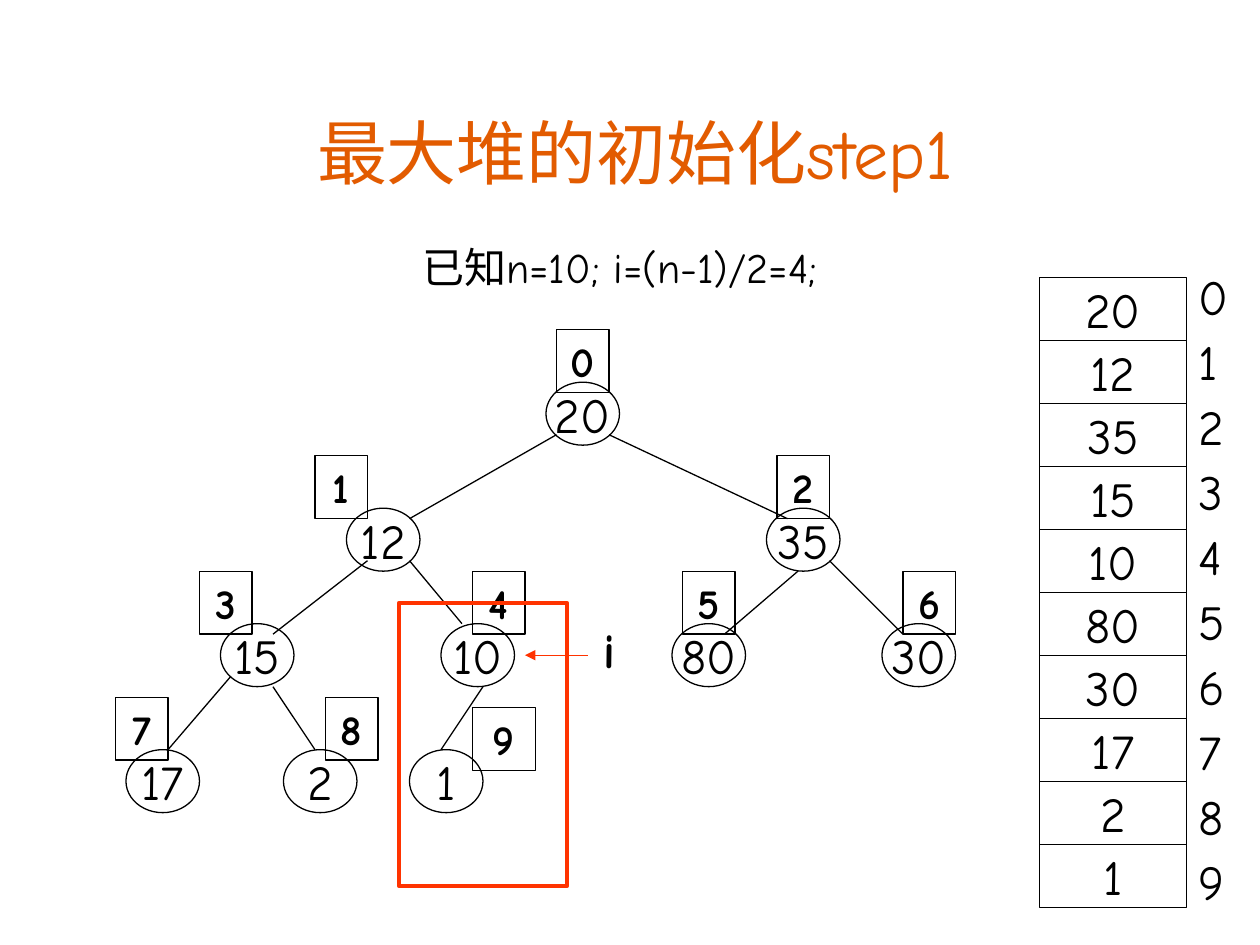
from lxml.etree import SubElement
from pptx import Presentation
from pptx.dml.color import RGBColor
from pptx.enum.shapes import MSO_CONNECTOR, MSO_SHAPE
from pptx.enum.text import MSO_ANCHOR, MSO_AUTO_SIZE, PP_ALIGN
from pptx.oxml.ns import qn
from pptx.util import Inches, Pt

UNIT = Inches(1) // 12
SHIFT = 0.4
LATIN = "Comic Neue"
HAN = "Noto Sans CJK SC"
BLACK = "000000"
RED = "FF3300"
ORANGE = "E25B00"

HEAP = [20, 12, 35, 15, 10, 80, 30, 17, 2, 1]
TIERS = [36, 48, 59, 71]
NODES = [52, 33, 73, 21, 42, 64, 84, 12, 27, 39]
TAGS = [53, 30, 74, 19, 45, 65, 86, 11, 31, 45]
EDGES = [
    (53, 41, 39, 49), (35, 53, 26, 60), (22, 64, 16, 71),
    (39, 53, 44, 59), (26, 65, 30, 71), (46, 65, 42, 71),
    (58, 41, 75, 49), (76, 54, 69, 60), (79, 53, 86, 60),
]


def tint(code):
    return RGBColor.from_string(code)


def place(col, row):
    return int(col * UNIT), int((row + SHIFT) * UNIT)


def area(col, row, wide, high):
    return (*place(col, row), int(wide * UNIT), int(high * UNIT))


def add_run(para, text, size, color=BLACK, face=LATIN, bold=False):
    run = para.add_run()
    run.text = text
    font = run.font
    font.size, font.bold, font.name = Pt(size), bold, face
    font.color.rgb = tint(color)
    SubElement(run._r.get_or_add_rPr(), qn("a:ea"), typeface=HAN)


def set_frame(shape, anchor, wrap=True):
    frame = shape.text_frame
    frame.word_wrap = wrap
    frame.auto_size = MSO_AUTO_SIZE.NONE
    frame.vertical_anchor = anchor
    para = frame.paragraphs[0]
    para.alignment = PP_ALIGN.CENTER
    return para


def add_title(slide):
    title = slide.shapes.title
    title.left, title.top, title.width, title.height = area(9, 8.6, 103, 10)
    para = set_frame(title, MSO_ANCHOR.BOTTOM)
    add_run(para, "最大堆的初始化", 40, ORANGE, HAN)
    add_run(para, "step1", 40, ORANGE)


def add_label(slide, box, lines, size, bold=False, gap=0):
    label = slide.shapes.add_textbox(*box)
    para = set_frame(label, MSO_ANCHOR.TOP)
    add_run(para, lines[0], size, bold=bold)
    for line in lines[1:]:
        para = label.text_frame.add_paragraph()
        para.alignment = PP_ALIGN.CENTER
        para.space_before = Pt(gap)
        add_run(para, line, size, bold=bold)


def add_outline(slide, kind, box, color=BLACK, width=0.75):
    shape = slide.shapes.add_shape(kind, *box)
    shape.shadow.inherit = False
    shape.fill.background()
    shape.line.color.rgb = tint(color)
    shape.line.width = Pt(width)
    return shape


def add_value(slide, kind, box, value):
    shape = add_outline(slide, kind, box)
    add_run(set_frame(shape, MSO_ANCHOR.MIDDLE, False), str(value), 28)


def add_tag(slide, box, index):
    shape = add_outline(slide, MSO_SHAPE.RECTANGLE, box)
    add_run(set_frame(shape, MSO_ANCHOR.TOP), str(index), 24, bold=True)


def add_edge(slide, start, end, color=BLACK, arrow=False):
    edge = slide.shapes.add_connector(
        MSO_CONNECTOR.STRAIGHT, *place(*start), *place(*end))
    edge.line.color.rgb = tint(color)
    edge.line.width = Pt(0.75)
    if arrow:
        SubElement(edge.line._get_or_add_ln(), qn("a:tailEnd"), type="triangle")
    SubElement(edge._element.spPr, qn("a:effectLst"))


def add_tree(slide):
    tiers = [TIERS[(i + 1).bit_length() - 1] for i in range(len(HEAP))]
    for value, col, row in zip(HEAP, NODES, tiers):
        add_value(slide, MSO_SHAPE.FLOWCHART_CONNECTOR, area(col, row, 7, 6), value)
    for left, top, right, low in EDGES:
        add_edge(slide, (left, top), (right, low))
    last = len(HEAP) - 1
    for index, (col, row) in enumerate(zip(TAGS, tiers)):
        rise, wide = (4, 6) if index == last else (5, 5)
        add_tag(slide, area(col, row - rise, wide, 6), index)


def add_focus(slide):
    add_label(slide, area(55, 58, 6, 6.8), ["i"], 28, bold=True)
    add_edge(slide, (56, 62), (50, 62), RED, True)
    add_outline(slide, MSO_SHAPE.RECTANGLE, area(38, 57, 16, 27), RED, 2.25)


def add_array(slide):
    for index, value in enumerate(HEAP):
        box = area(99, 26 + 6 * index, 14, 6)
        add_value(slide, MSO_SHAPE.FLOWCHART_PROCESS, box, value)
    marks = [str(i) for i in range(len(HEAP))]
    add_label(slide, area(113, 24.4, 4.2, 62.5), marks, 28, gap=3.5)


def main():
    deck = Presentation()
    deck.slide_width, deck.slide_height = Inches(10), Inches(7.5)
    slide = deck.slides.add_slide(deck.slide_layouts[5])
    add_title(slide)
    add_label(slide, area(6, 22, 106, 6), ["已知n=10; i=(n-1)/2=4;"], 24)
    add_tree(slide)
    add_focus(slide)
    add_array(slide)
    deck.save("out.pptx")


if __name__ == "__main__":
    main()
